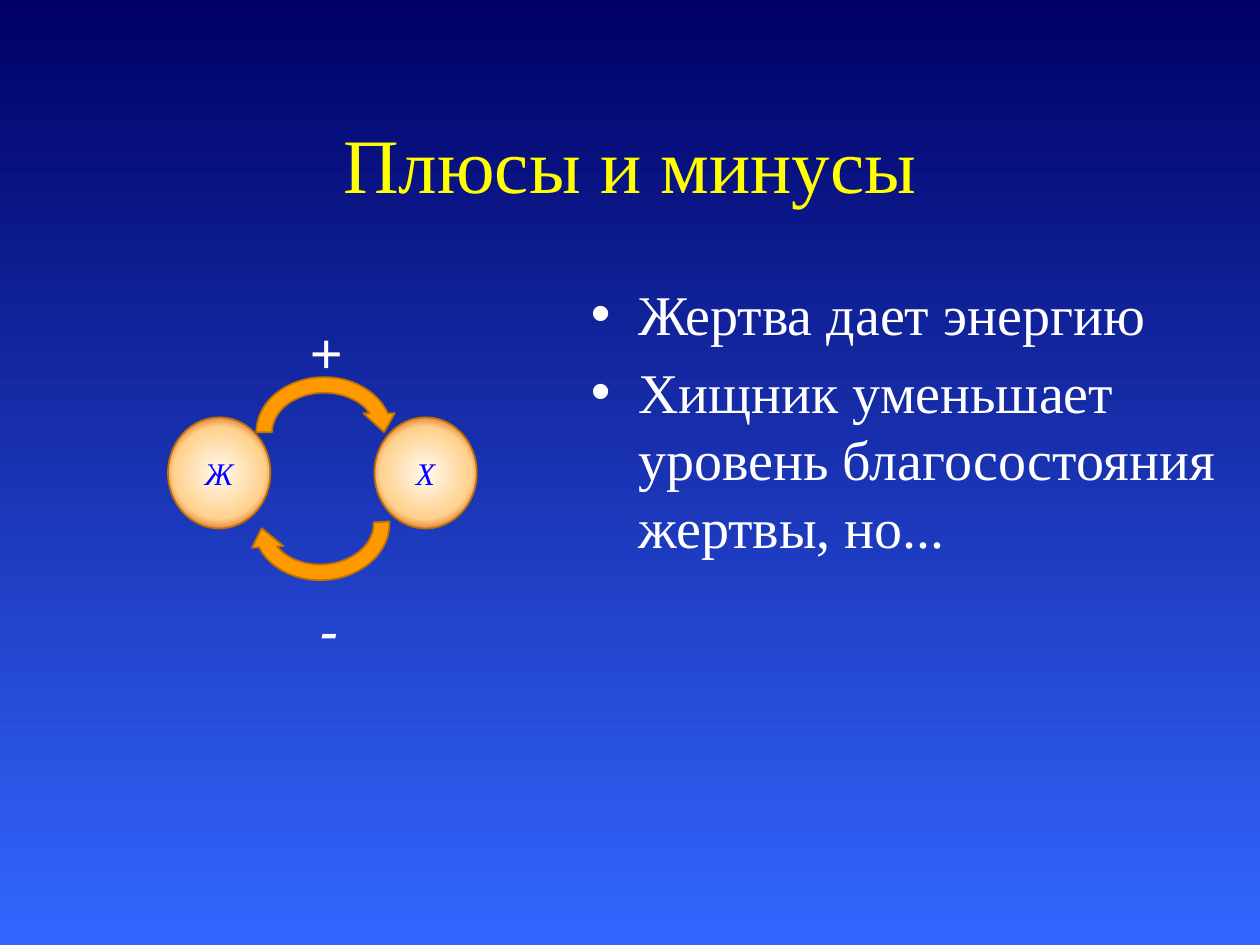
from lxml import etree
from pptx import Presentation
from pptx.dml.color import RGBColor
from pptx.enum.shapes import MSO_SHAPE
from pptx.enum.text import MSO_ANCHOR, MSO_AUTO_SIZE, PP_ALIGN
from pptx.oxml.ns import qn
from pptx.util import Pt

OVAL, ARROW = MSO_SHAPE.OVAL, MSO_SHAPE.CIRCULAR_ARROW
CENTER, MIDDLE, TOP = PP_ALIGN.CENTER, MSO_ANCHOR.MIDDLE, MSO_ANCHOR.TOP
NO_FIT, GROW = MSO_AUTO_SIZE.NONE, MSO_AUTO_SIZE.SHAPE_TO_FIT_TEXT
SERIF, SANS = "Times New Roman", "Arial"
WHITE, OUTLINE = "FFFFFF", "BD7100"
NODE_STOPS = [(0, "FFFAF2"), (61, "FFD18C"), (84, "D45000"), (100, "FFE0B2")]


def rgb(value):
    return RGBColor.from_string(value)


def place(s, left, top, width, height):
    s.left, s.top, s.width, s.height = Pt(left), Pt(top), Pt(width), Pt(height)


def format_text(tf, size, color, font=SERIF, italic=None, align=None):
    for p in tf.paragraphs:
        p.alignment = align
        for r in p.runs:
            r.font.name, r.font.size, r.font.italic = font, Pt(size), italic
            r.font.color.rgb = rgb(color)


def fill_background(slide, start, end):
    fill = slide.background.fill
    fill.gradient()
    fill.gradient_angle = 270
    for stop, color in zip(fill.gradient_stops, (start, end)):
        stop.color.rgb = rgb(color)


def fill_radial(s, stops):
    """Fill a shape with a gradient running outwards from its centre."""
    s.fill.gradient()
    grad = s._element.spPr.find(qn("a:gradFill"))
    for child in list(grad):
        grad.remove(child)
    gs_list = etree.SubElement(grad, qn("a:gsLst"))
    for position, color in stops:
        gs = etree.SubElement(gs_list, qn("a:gs"), pos=str(position * 1000))
        etree.SubElement(gs, qn("a:srgbClr"), val=color)
    circle = etree.SubElement(grad, qn("a:path"), path="circle")
    etree.SubElement(circle, qn("a:fillToRect"), l="50000", t="50000", r="50000", b="50000")


def fill_placeholder(s, text, box, size, color, anchor, align=None):
    place(s, *box)
    tf = s.text_frame
    tf.text = text
    tf.auto_size, tf.vertical_anchor = NO_FIT, anchor
    format_text(tf, size, color, align=align)


def add_outlined(shapes, kind, left, top, width, height):
    s = shapes.add_shape(kind, Pt(left), Pt(top), Pt(width), Pt(height))
    s.shadow.inherit = False
    s.line.color.rgb = rgb(OUTLINE)
    s.line.width = Pt(1)
    return s


def add_node(shapes, text, left):
    s = add_outlined(shapes, OVAL, left, 238.5, 58.5, 63.5)
    fill_radial(s, NODE_STOPS)
    tf = s.text_frame
    tf.text, tf.vertical_anchor = text, MIDDLE
    format_text(tf, 18, "0000FF", italic=True, align=CENTER)


def add_arrow(shapes, left, top, rotation=0):
    s = add_outlined(shapes, ARROW, left, top, 86.5, 72)
    s.rotation = rotation
    s.fill.solid()
    s.fill.fore_color.rgb = rgb("FF9900")


def add_sign(shapes, text, left, top, italic=True):
    tf = shapes.add_textbox(Pt(left), Pt(top), Pt(57), Pt(46)).text_frame
    tf.text, tf.word_wrap, tf.auto_size = text, True, GROW
    format_text(tf, 32, WHITE, SANS, italic, CENTER)


def add_feedback_loop(slide):
    shapes = slide.shapes.add_group_shape().shapes
    add_node(shapes, "Ж", 96)
    add_node(shapes, "Х", 214)
    add_arrow(shapes, 142, 211)
    add_arrow(shapes, 140.5, 264, 177)
    add_sign(shapes, "-", 159, 337)
    add_sign(shapes, "+", 157.5, 178)


def main():
    prs = Presentation()
    prs.slide_width, prs.slide_height = Pt(720), Pt(540)
    slide = prs.slides.add_slide(prs.slide_layouts[1])
    fill_background(slide, "000066", "3366FF")
    title, body = slide.placeholders
    fill_placeholder(title, "Плюсы и минусы", (54, 48, 612, 90), 44, "FFFF00", MIDDLE, CENTER)
    points = ["Жертва дает энергию", "Хищник уменьшает уровень благосостояния жертвы, но..."]
    fill_placeholder(body, "\n".join(points), (330.5, 156, 375, 324), 32, WHITE, TOP)
    add_feedback_loop(slide)
    prs.save("out.pptx")


if __name__ == "__main__":
    main()
